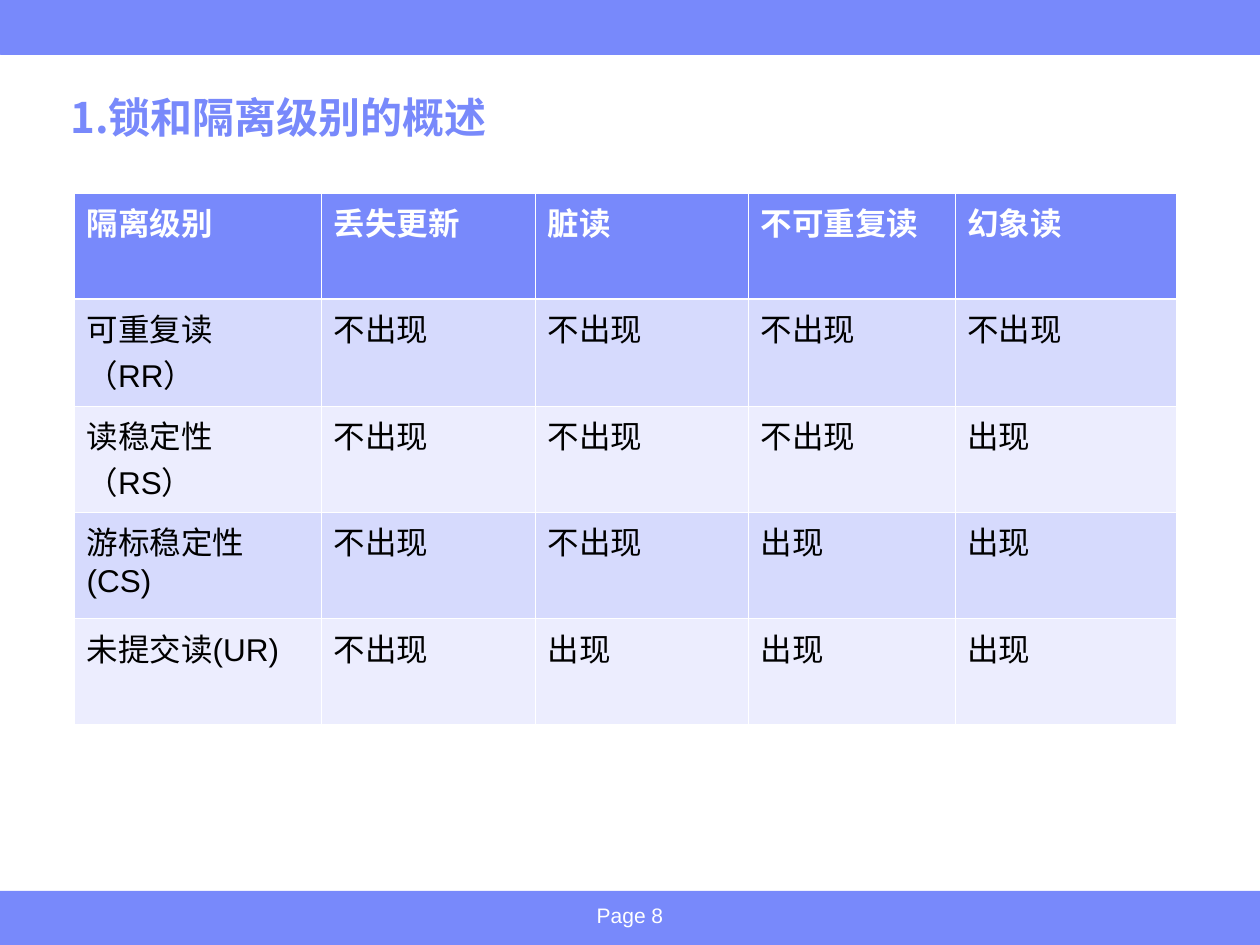
from lxml import etree
from pptx import Presentation
from pptx.dml.color import RGBColor
from pptx.enum.shapes import MSO_SHAPE
from pptx.enum.text import MSO_ANCHOR, PP_ALIGN
from pptx.oxml.ns import qn
from pptx.util import Pt

RECTANGLE = MSO_SHAPE.RECTANGLE
TOP, BOTTOM = MSO_ANCHOR.TOP, MSO_ANCHOR.BOTTOM
LEFT, CENTER = PP_ALIGN.LEFT, PP_ALIGN.CENTER
EMU_PER_PX = 914400 / 126
SLIDE_W, SLIDE_H, BAND_H = 1260, 945, 54

BLUE, WHITE, BLACK = "7889FB", "FFFFFF", "000000"
STRIPES = ["D6DAFD", "ECEDFE"]
LATIN, CJK = "Arial", "Noto Sans CJK SC"
THIN, THICK = 0.45, 1.47

COLUMN_WIDTHS = [247, 214, 213, 207, 221]
ROW_HEIGHTS = [106, 107, 106, 107, 106]
ISOLATION_LEVELS = [
    ["隔离级别", "丢失更新", "脏读", "不可重复读", "幻象读"],
    ["可重复读（RR）", "不出现", "不出现", "不出现", "不出现"],
    ["读稳定性（RS）", "不出现", "不出现", "不出现", "出现"],
    ["游标稳定性(CS)", "不出现", "不出现", "出现", "出现"],
    ["未提交读(UR)", "不出现", "出现", "出现", "出现"],
]


def px(length):
    return round(length * EMU_PER_PX)


def rgb(value):
    return RGBColor.from_string(value)


class SlideBuilder:
    def __init__(self, slide):
        self.slide = slide

    def band(self, top):
        bar = self.slide.shapes.add_shape(
            RECTANGLE, 0, px(top), px(SLIDE_W), px(BAND_H))
        bar.shadow.inherit = False
        bar.fill.solid()
        bar.fill.fore_color.rgb = rgb(BLUE)
        bar.line.color.rgb = rgb(BLUE)
        bar.line.width = Pt(0.25)

    def run(self, paragraph, text, size, color, latin=LATIN, bold=False):
        run = paragraph.add_run()
        run.text = text
        font = run.font
        font.size, font.bold, font.name = Pt(size), bold, latin
        font.color.rgb = rgb(color)
        east_asian = etree.SubElement(run._r.get_or_add_rPr(), qn("a:ea"))
        east_asian.set("typeface", CJK)

    def text(self, box, text, size, color, latin=LATIN, bold=False,
             align=LEFT, anchor=TOP, spacing=1.0):
        frame = self.slide.shapes.add_textbox(*map(px, box)).text_frame
        frame.word_wrap = True
        frame.vertical_anchor = anchor
        paragraph = frame.paragraphs[0]
        paragraph.alignment = align
        paragraph.line_spacing = spacing
        self.run(paragraph, text, size, color, latin, bold)

    def border(self, cell, top, bottom):
        properties = cell._tc.get_or_add_tcPr()
        sides = {"lnL": THIN, "lnR": THIN, "lnT": top, "lnB": bottom}
        for position, (side, width) in enumerate(sides.items()):
            edge = etree.Element(qn(f"a:{side}"), w=str(Pt(width)))
            fill = etree.SubElement(edge, qn("a:solidFill"))
            etree.SubElement(fill, qn("a:srgbClr"), val=WHITE)
            properties.insert(position, edge)

    def table(self, left, top, rows, widths, heights):
        grid = self.slide.shapes.add_table(
            len(rows), len(widths), px(left), px(top),
            px(sum(widths)), px(sum(heights))).table
        for column, width in zip(grid.columns, widths):
            column.width = px(width)
        for r, (values, height) in enumerate(zip(rows, heights)):
            grid.rows[r].height = px(height)
            header = r == 0
            for c, value in enumerate(values):
                cell = grid.cell(r, c)
                cell.fill.solid()
                cell.fill.fore_color.rgb = rgb(
                    BLUE if header else STRIPES[(r - 1) % 2])
                self.border(cell, THICK if r == 1 else THIN,
                            THICK if header else THIN)
                self.run(cell.text_frame.paragraphs[0], value, 18,
                         WHITE if header else BLACK, bold=header)


def main():
    deck = Presentation()
    deck.slide_width, deck.slide_height = px(SLIDE_W), px(SLIDE_H)
    page = SlideBuilder(deck.slides.add_slide(deck.slide_layouts[6]))

    # Header and footer bands
    page.band(0)
    page.band(SLIDE_H - BAND_H)

    # Title and page number
    page.text((58, 81, 1145, 68), "1.锁和隔离级别的概述", 24, BLUE,
              latin=CJK, bold=True, anchor=BOTTOM, spacing=0.9)
    page.text((430, 896, 400, 49), "Page 8", 12, WHITE, align=CENTER)

    # Anomalies allowed by each isolation level
    page.table(74, 193, ISOLATION_LEVELS, COLUMN_WIDTHS, ROW_HEIGHTS)

    deck.save("out.pptx")


if __name__ == "__main__":
    main()
